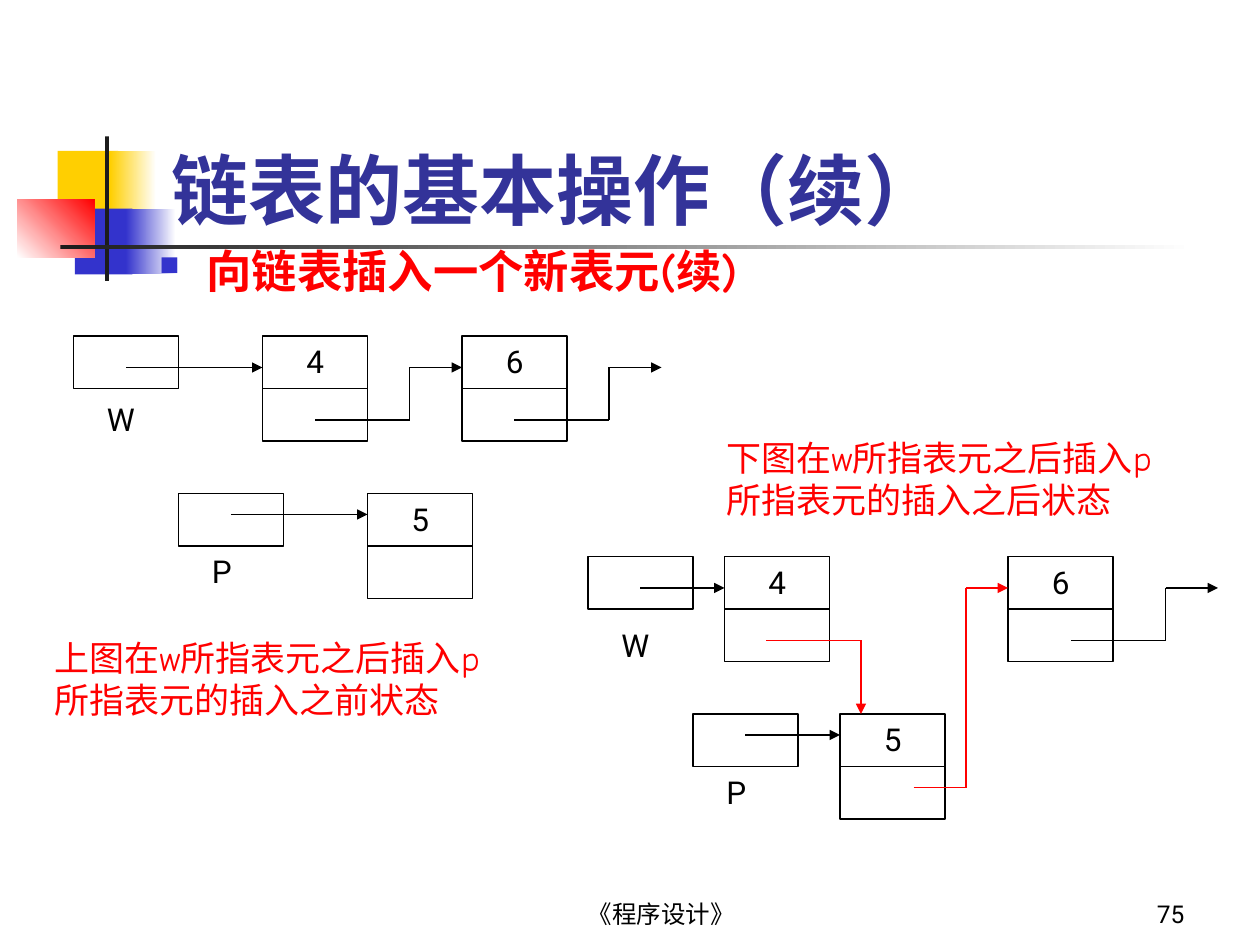
"""Builds a slide showing a linked list before and after a node is inserted."""
from itertools import pairwise

from lxml import etree
from pptx import Presentation
from pptx.dml.color import RGBColor
from pptx.enum.shapes import MSO_CONNECTOR, MSO_SHAPE
from pptx.enum.text import MSO_ANCHOR, PP_ALIGN
from pptx.oxml.ns import qn
from pptx.util import Emu, Pt

PX = 9525
RECTANGLE, STRAIGHT = MSO_SHAPE.RECTANGLE, MSO_CONNECTOR.STRAIGHT
TOP, BOTTOM = MSO_ANCHOR.TOP, MSO_ANCHOR.BOTTOM
LEFT, CENTER, RIGHT = PP_ALIGN.LEFT, PP_ALIGN.CENTER, PP_ALIGN.RIGHT

BLACK = RGBColor(0x00, 0x00, 0x00)
WHITE = RGBColor(0xFF, 0xFF, 0xFF)
RED = RGBColor(0xFF, 0x00, 0x00)
YELLOW = RGBColor(0xFF, 0xCF, 0x01)
BLUE = RGBColor(0x33, 0x33, 0xCC)
NAVY = RGBColor(0x33, 0x33, 0x99)
CHARCOAL = RGBColor(0x1C, 0x1C, 0x1C)

SANS, SERIF, COMIC = "Roboto", "Times New Roman", "Comic Neue"
CELL_WIDTH, CELL_HEIGHT = 80, 40
LABEL_WIDTH, LABEL_HEIGHT = 48, 38

# (left, top, width, height), colours, angle
DECORATION = [
    ((44, 115, 46, 50), (YELLOW,), 0),
    ((84, 115, 35, 50), (YELLOW, WHITE), 0),
    ((57, 159, 44, 50), (BLUE,), 0),
    ((96, 159, 38, 50), (BLUE, WHITE), 0),
    ((13, 152, 59, 44), (WHITE, RED), 45),
    ((80, 104, 3, 110), (CHARCOAL,), 0),
    ((46, 187, 864, 3), (CHARCOAL, WHITE), 0),
]
TITLE = [("链表的基本操作", SERIF), ("（续）", SANS)]
SUBTITLE = [("向链表插入一个新表元(续)", COMIC)]
FOOTERS = [
    ("《程序设计》", (352, 664, 304, 48), CENTER),
    ("75", (712, 664, 200, 48), RIGHT),
]
CAPTIONS = [
    ("上图在w所指表元之后插入p所指表元的插入之前状态", (32, 480, 368, 74)),
    ("下图在w所指表元之后插入p所指表元的插入之后状态", (544, 328, 368, 74)),
]
POINTERS = [
    ("W", 56, 256, 44),
    ("P", 136, 376, 40),
    ("W", 448, 424, 48),
    ("P", 528, 544, 40),
]
NODES = [
    ("4", 200, 256),
    ("6", 352, 256),
    ("5", 280, 376),
    ("4", 552, 424),
    ("6", 768, 424),
    ("5", 640, 544),
]
LINKS = [
    (BLACK, [(96, 280), (200, 280)]),
    (BLACK, [(240, 320), (312, 320), (312, 280), (352, 280)]),
    (BLACK, [(392, 320), (464, 320), (464, 280), (504, 280)]),
    (BLACK, [(176, 392), (280, 392)]),
    (BLACK, [(488, 448), (552, 448)]),
    (RED, [(584, 488), (656, 488), (656, 544)]),
    (BLACK, [(816, 488), (888, 488), (888, 448), (928, 448)]),
    (BLACK, [(568, 560), (640, 560)]),
    (RED, [(696, 600), (736, 600), (736, 448), (768, 448)]),
]


def emu(lengths):
    return [Emu(length * PX) for length in lengths]


def add_rectangle(slide, frame):
    shape = slide.shapes.add_shape(RECTANGLE, *emu(frame))
    shape.shadow.inherit = False
    return shape


def add_decoration(slide, frame, colors, angle):
    shape = add_rectangle(slide, frame)
    shape.line.fill.background()
    if len(colors) == 1:
        shape.fill.solid()
        shape.fill.fore_color.rgb = colors[0]
        return
    shape.fill.gradient()
    shape.fill.gradient_angle = angle
    for stop, color in zip(shape.fill.gradient_stops, colors):
        stop.color.rgb = color


def add_cell(slide, left, top):
    cell = add_rectangle(slide, (left, top, CELL_WIDTH, CELL_HEIGHT))
    cell.fill.background()
    cell.line.color.rgb = BLACK
    cell.line.width = Pt(0.75)


def add_text(slide, frame, pieces, size, color=BLACK, bold=False, align=LEFT, anchor=TOP):
    box = slide.shapes.add_textbox(*emu(frame))
    box.text_frame.word_wrap = True
    box.text_frame.vertical_anchor = anchor
    para = box.text_frame.paragraphs[0]
    para.alignment = align
    for text, font in pieces:
        span = para.add_run()
        span.text = text
        span.font.name = font
        span.font.size = Pt(size)
        span.font.bold = bold
        span.font.color.rgb = color
    return para


def add_label(slide, text, left, top):
    add_text(slide, (left, top, LABEL_WIDTH, LABEL_HEIGHT), [(text, SANS)], 18)


def add_square_bullet(para, indent):
    props = para._p.get_or_add_pPr()
    props.set("marL", str(indent * PX))
    props.set("indent", str(-indent * PX))
    color = etree.SubElement(props, qn("a:buClr"))
    etree.SubElement(color, qn("a:srgbClr"), val=str(BLUE))
    etree.SubElement(props, qn("a:buSzPct"), val="60000")
    etree.SubElement(props, qn("a:buChar"), char="■")


def add_link(slide, color, points):
    for start, end in pairwise(points):
        line = slide.shapes.add_connector(STRAIGHT, *emu(start + end))
        line.line.color.rgb = color
        line.line.width = Pt(0.75)
        if end == points[-1]:
            etree.SubElement(line.line._get_or_add_ln(), qn("a:tailEnd"), type="triangle")
        etree.SubElement(line._element.spPr, qn("a:effectLst"))


def main():
    deck = Presentation()
    deck.slide_width, deck.slide_height = emu((960, 720))
    slide = deck.slides.add_slide(deck.slide_layouts[6])
    for frame, colors, angle in DECORATION:
        add_decoration(slide, frame, colors, angle)
    for text, frame, align in FOOTERS:
        add_text(slide, frame, [(text, SANS)], 14, align=align, anchor=BOTTOM)
    add_text(slide, (121, 64, 818, 120), TITLE, 44, NAVY, bold=True, anchor=BOTTOM)
    subtitle = add_text(slide, (112, 192, 576, 40), SUBTITLE, 25.9, RED, bold=True)
    subtitle.line_spacing = 0.7
    add_square_bullet(subtitle, 36)
    for text, left, top, drop in POINTERS:
        add_cell(slide, left, top)
        add_label(slide, text, left + 16, top + drop)
    for text, left, top in NODES:
        add_cell(slide, left, top + CELL_HEIGHT)
        add_cell(slide, left, top)
        add_label(slide, text, left + 24, top)
    for color, points in LINKS:
        add_link(slide, color, points)
    for text, frame in CAPTIONS:
        add_text(slide, frame, [(text, COMIC)], 20, RED)
    deck.save("out.pptx")


if __name__ == "__main__":
    main()
